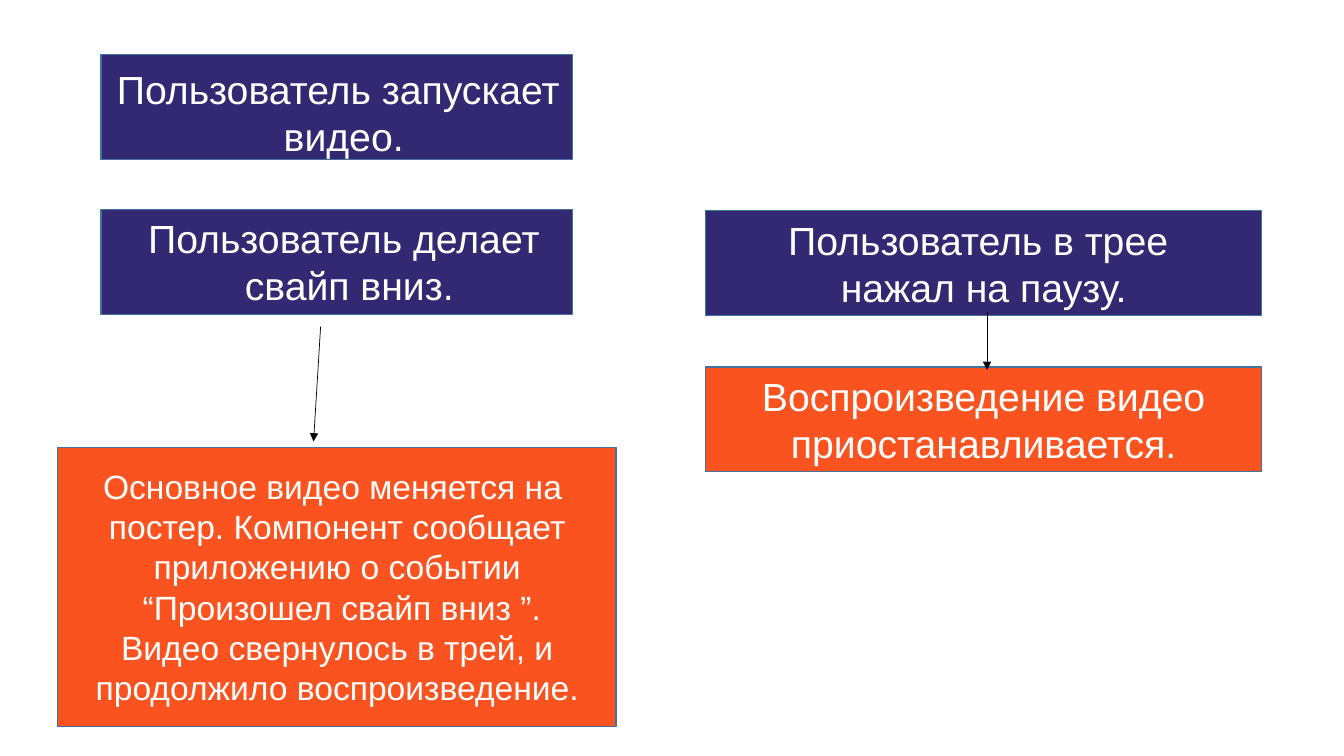
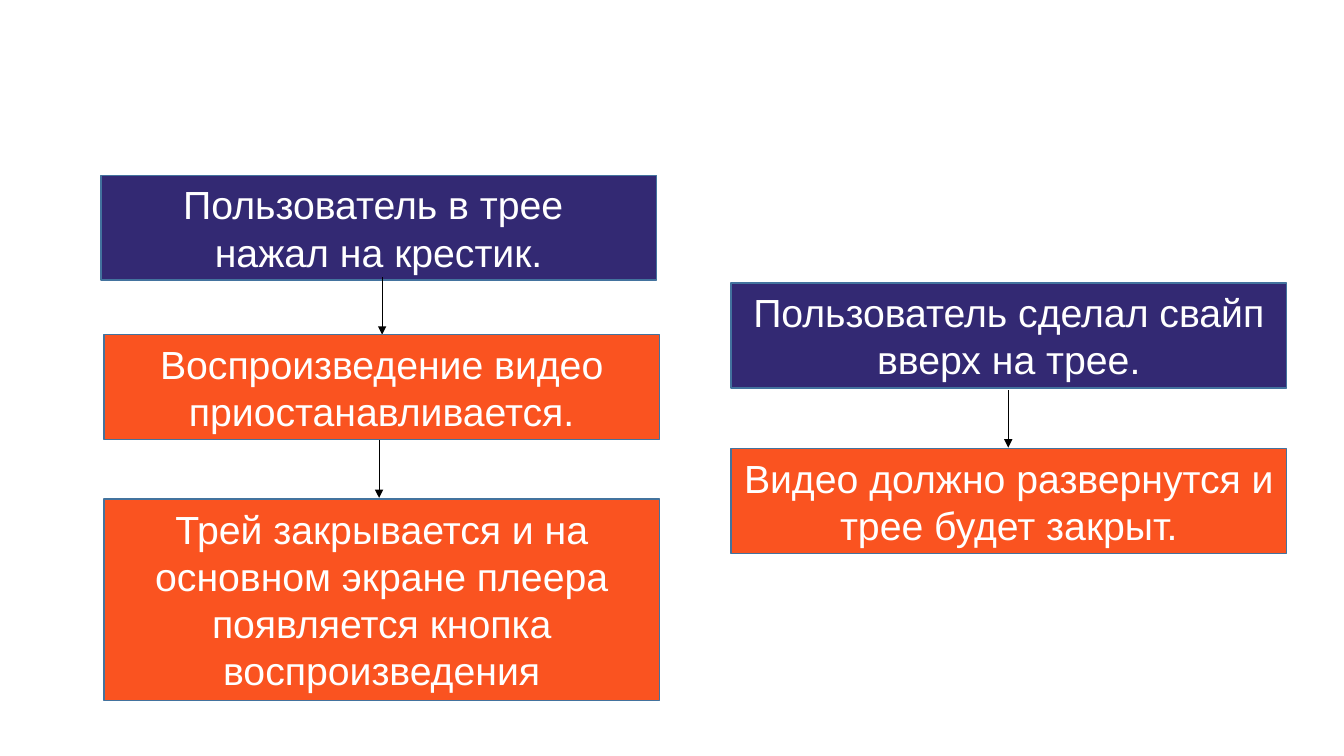
"""Builds two slides of flow diagrams for swiping, pausing and closing a video tray."""
from lxml import etree
from pptx import Presentation
from pptx import util as u
from pptx.dml.color import RGBColor
from pptx.enum import shapes, text
from pptx.oxml import ns

COLORS = {
    "action": "332973",
    "result": "FA5320",
    "border": "43739E",
    "text": "FFFFFF",
    "arrow": "000000",
}
FONT = "Arial"
BOX_WIDTH = 5.51
BOX_HEIGHT = 1.04
ARROW_LENGTH = 0.57
PAUSED = "Воспроизведение видео приостанавливается."


def color(name):
    return RGBColor.from_string(COLORS[name])


def write(shape, wording, size):
    frame = shape.text_frame
    frame.text = wording
    for paragraph in frame.paragraphs:
        paragraph.alignment = text.PP_ALIGN.CENTER
        for run in paragraph.runs:
            run.font.name = FONT
            run.font.size = u.Pt(size)
            run.font.color.rgb = color("text")


def add_box(slide, role, left, top, wording="", width=BOX_WIDTH, height=BOX_HEIGHT):
    shape = slide.shapes.add_shape(
        shapes.MSO_SHAPE.RECTANGLE,
        u.Inches(left), u.Inches(top), u.Inches(width), u.Inches(height))
    shape.shadow.inherit = False
    shape.fill.solid()
    shape.fill.fore_color.rgb = color(role)
    shape.line.color.rgb = color("border")
    shape.line.width = u.Pt(1)
    shape.text_frame.vertical_anchor = text.MSO_ANCHOR.MIDDLE
    if wording:
        write(shape, wording, 28)


def add_label(slide, left, top, width, height, wording, size=28):
    label = slide.shapes.add_textbox(
        u.Inches(left), u.Inches(top), u.Inches(width), u.Inches(height))
    label.text_frame.word_wrap = False
    label.text_frame.auto_size = text.MSO_AUTO_SIZE.SHAPE_TO_FIT_TEXT
    write(label, wording, size)


def add_arrow(slide, left, top, shift=0, length=ARROW_LENGTH):
    arrow = slide.shapes.add_connector(
        shapes.MSO_CONNECTOR.STRAIGHT,
        u.Inches(left), u.Inches(top), u.Inches(left + shift), u.Inches(top + length))
    arrow.line.color.rgb = color("arrow")
    arrow.line.width = u.Pt(0.5)
    properties = arrow.element.spPr
    line = properties.find(ns.qn("a:ln"))
    etree.SubElement(line, ns.qn("a:tailEnd"), type="triangle")
    etree.SubElement(properties, ns.qn("a:effectLst"))


def build_swipe_and_pause(slide):
    add_box(slide, "action", 1, 0.54, width=4.68)
    add_box(slide, "action", 1, 2.08, width=4.68)
    add_label(slide, 1.03, 0.6, 4.65, 1.04, "Пользователь запускает\n видео.")
    add_label(slide, 1.34, 2.08, 4.14, 1.04, "Пользователь делает\n свайп вниз.")
    add_arrow(slide, 3.18, 3.24, shift=-0.07, length=1.14)
    add_box(slide, "result", 0.57, 4.44, width=5.54, height=2.77)
    add_label(
        slide, 0.73, 4.57, 5.23, 2.93,
        "Основное видео меняется на \n"
        "постер. Компонент сообщает\n"
        "приложению о событии\n"
        " “Произошел свайп вниз ”.\n"
        "Видео свернулось в трей, и\n"
        " продолжило воспроизведение. ",
        size=24)

    add_box(slide, "action", 7, 2.09, "Пользователь в трее \nнажал на паузу.")
    add_box(slide, "result", 7, 3.64, PAUSED)
    add_arrow(slide, 9.79, 3.1)


def build_close_and_expand(slide):
    add_box(slide, "action", 1, 1.74, "Пользователь в трее \nнажал на крестик.")
    add_arrow(slide, 3.79, 2.75)
    add_box(slide, "result", 1.03, 3.32, PAUSED)
    add_arrow(slide, 3.76, 4.37)
    add_box(
        slide, "result", 1.03, 4.95,
        "Трей закрывается и на основном экране плеера появляется кнопка воспроизведения",
        height=2)

    add_box(slide, "action", 7.25, 2.81, "Пользователь сделал свайп вверх на трее.")
    add_arrow(slide, 10, 3.87)
    add_box(slide, "result", 7.25, 4.45, "Видео должно развернутся и трее будет закрыт.")


def main():
    presentation = Presentation()
    presentation.slide_width = u.Inches(13.33)
    presentation.slide_height = u.Inches(7.5)
    blank = presentation.slide_layouts[6]
    for build in (build_swipe_and_pause, build_close_and_expand):
        build(presentation.slides.add_slide(blank))
    presentation.save("out.pptx")


if __name__ == "__main__":
    main()
